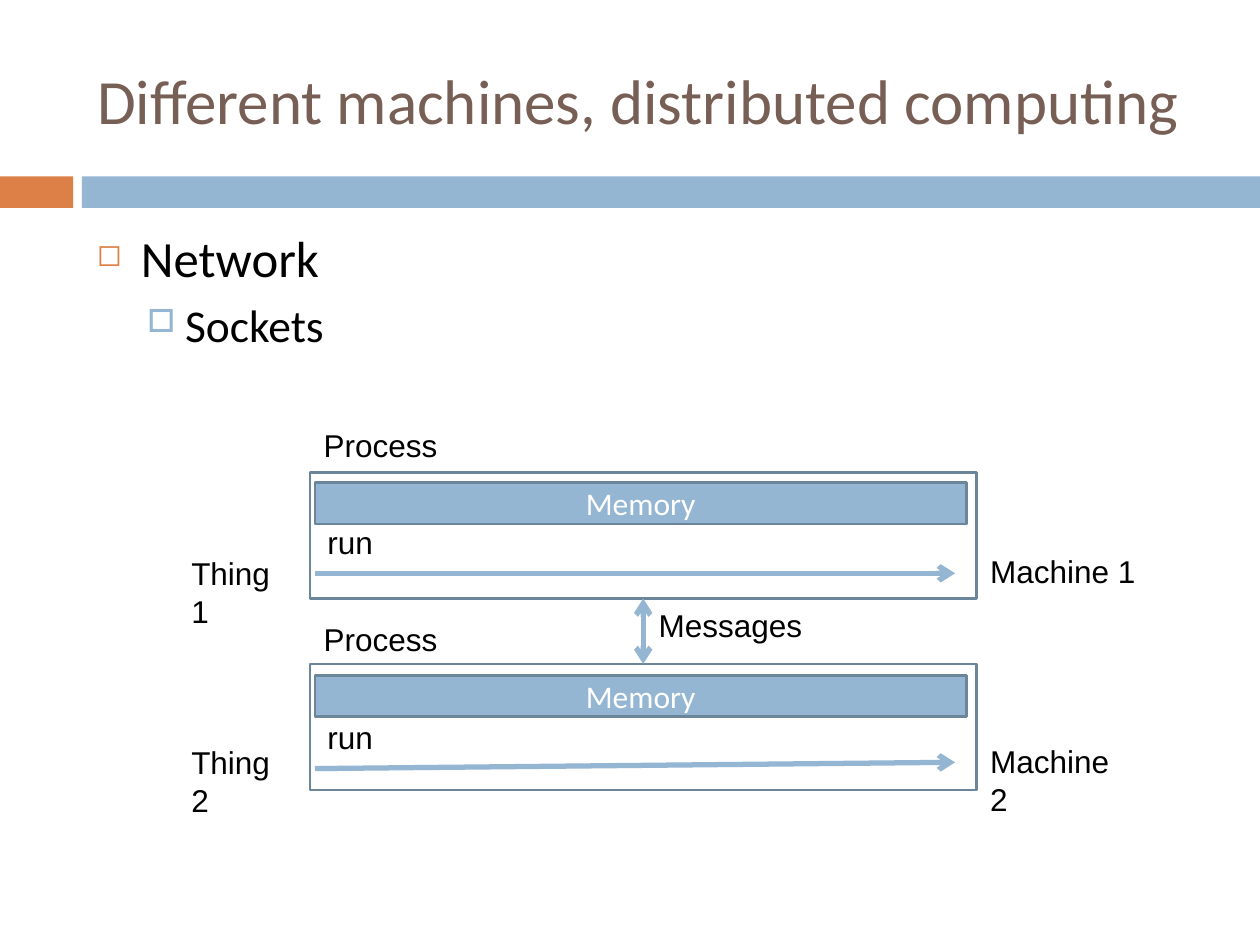
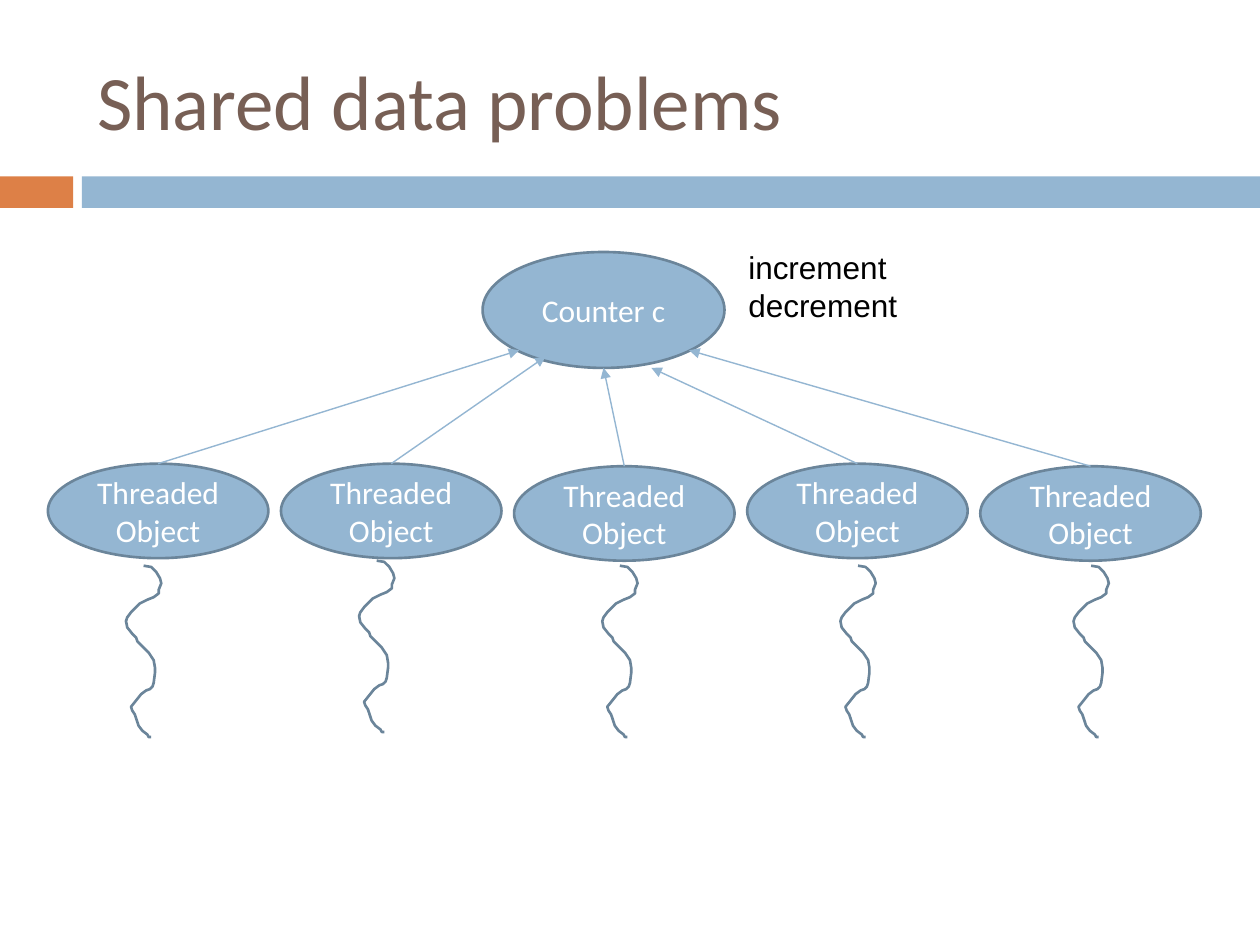
from lxml.etree import SubElement
from pptx import Presentation
from pptx.dml.color import RGBColor
from pptx.enum.shapes import MSO_CONNECTOR as Link, MSO_SHAPE as Form
from pptx.enum.text import MSO_ANCHOR as Anchor, MSO_AUTO_SIZE as Fit, PP_ALIGN as Align
from pptx.oxml.ns import qn
from pptx.util import Pt

SCALE = 9144
BLUE, EDGE, RUST = "94B6D2", "6B859A", "DD8047"
BROWN, BLACK, WHITE = "775F55", "000000", "FFFFFF"
WAVE = [(14, 0), (20, 1), (24, 5), (27, 10), (28, 14), (26, 19), (26, 22),
        (22, 25), (17, 27), (11, 30), (9, 32), (4, 37), (1, 41), (0, 44),
        (1, 49), (5, 54), (8, 57), (9, 60), (12, 63), (15, 66), (18, 69),
        (22, 75), (23, 81), (23, 85), (22, 93), (21, 96), (19, 98), (16, 99),
        (12, 102), (8, 107), (4, 112), (5, 115), (7, 118), (8, 121),
        (9, 124), (10, 127), (13, 131), (17, 134), (18, 136), (20, 136)]


def px(*sizes):
    return [size * SCALE for size in sizes]


def tint(code):
    return RGBColor.from_string(code)


class Deck:
    def __init__(self):
        self.show = Presentation()
        self.show.slide_width, self.show.slide_height = px(1000, 750)

    def page(self, title, size):
        self.slide = self.show.slides.add_slide(self.show.slide_layouts[5])
        self.shapes = self.slide.shapes
        self.shape(Form.RECTANGLE, (0, 140, 58, 25), RUST)
        self.shape(Form.RECTANGLE, (65, 140, 935, 25), BLUE)
        head = self.shapes.title
        head.left, head.top, head.width, head.height = px(67, 25, 892, 108)
        frame = head.text_frame
        frame.text = title
        frame.auto_size = Fit.NONE
        frame.vertical_anchor = Anchor.MIDDLE
        self.style(frame, size, "Calibri", BROWN)

    def style(self, frame, size, face, color, align=Align.LEFT):
        for para in frame.paragraphs:
            para.alignment = align
            font = para.font
            font.size, font.name = Pt(size), face
            font.color.rgb = tint(color)

    def shape(self, form, area, fill=None, edge=None, text=None):
        item = self.shapes.add_shape(form, *px(*area))
        item.shadow.inherit = False
        self.paint(item, fill, edge)
        if text:
            frame = item.text_frame
            frame.text = text
            frame.vertical_anchor = Anchor.MIDDLE
            self.style(frame, 18, "Calibri", WHITE, Align.CENTER)
        return item

    def paint(self, item, fill, edge):
        if fill:
            item.fill.solid()
            item.fill.fore_color.rgb = tint(fill)
        else:
            item.fill.background()
        if edge:
            item.line.color.rgb = tint(edge)
            item.line.width = Pt(1.5)
        else:
            item.line.fill.background()

    def label(self, text, *area):
        frame = self.shapes.add_textbox(*px(*area)).text_frame
        frame.text = text
        frame.word_wrap = False
        frame.auto_size = Fit.SHAPE_TO_FIT_TEXT
        self.style(frame, 18, "Arial", BLACK)

    def list(self, area, items):
        frame = self.shapes.add_textbox(*px(*area)).text_frame
        frame.word_wrap = True
        for level, (text, size, mark, color, part, left, hang, gap) in enumerate(items):
            para = frame.add_paragraph() if level else frame.paragraphs[0]
            para.text, para.level = text, level
            para.space_before = Pt(gap)
            props = para._p.get_or_add_pPr()
            props.set("marL", str(left * SCALE))
            props.set("indent", str(-hang * SCALE))
            SubElement(SubElement(props, qn("a:buClr")), qn("a:srgbClr"), val=color)
            SubElement(props, qn("a:buSzPct"), val=str(part * 1000))
            SubElement(props, qn("a:buChar"), char=mark)
            para.alignment = Align.LEFT
            para.font.size, para.font.name = Pt(size), "Calibri"
            para.font.color.rgb = tint(BLACK)

    def arrow(self, start, end, width, kind, both=False, first=None, last=None):
        item = self.shapes.add_connector(Link.STRAIGHT, *px(*start, *end))
        if first:
            item.begin_connect(*first)
        if last:
            item.end_connect(*last)
        item.line.color.rgb = tint(BLUE)
        item.line.width = Pt(width)
        props = item._element.spPr
        line = props.find(qn("a:ln"))
        for tag in ("a:headEnd", "a:tailEnd") if both else ("a:tailEnd",):
            SubElement(line, qn(tag), type=kind)
        SubElement(props, qn("a:effectLst"))

    def wave(self, left, top):
        points = [(left + x, top + y) for x, y in WAVE]
        build = self.shapes.build_freeform(*points[0], scale=SCALE)
        build.add_line_segments(points[1:], close=False)
        item = build.convert_to_shape()
        item.shadow.inherit = False
        self.paint(item, None, EDGE)


def network(deck):
    deck.page("Different machines, distributed computing", 36)
    deck.list((67, 175, 892, 133), [
        ("Network", 29, "◻", RUST, 60, 35, 35, 7),
        ("Sockets", 26, "□", BLUE, 70, 70, 30, 5.5)])
    rows = [
        ("Thing 1", 435, "Machine 1", 433, 135, 375, 333, 383, 410, 455, 455),
        ("Thing 2", 585, "Machine2", 584, 128, 527, 487, 536, 565, 610, 605)]
    boxes = []
    for thing, low, host, side, wide, top, head, store, run, start, end in rows:
        boxes.append(deck.shape(Form.RECTANGLE, (246, top, 529, 100), None, EDGE))
        deck.shape(Form.RECTANGLE, (250, store, 517, 33), BLUE, EDGE, "Memory")
        deck.label("Process", 247, head, 110, 40)
        deck.label("run", 250, run, 56, 40)
        deck.label(thing, 142, low, 103, 40)
        deck.label(host, 776, side, wide, 40)
        deck.arrow((250, start), (758, end), 3, "arrow")
    upper, lower = boxes
    deck.arrow((511, 475), (511, 527), 3, "arrow", True, (upper, 2), (lower, 0))
    deck.label("Messages", 513, 476, 134, 40)


def shared(deck):
    deck.page("Shared data problems", 44)
    deck.shape(Form.OVAL, (383, 200, 192, 92), BLUE, EDGE, "Counter c")
    deck.label("increment\ndecrement", 584, 192, 138, 70)
    threads = [
        (368, (412, 278), (100, 449)),
        (368, (433, 283), (285, 445)),
        (370, (479, 292), (478, 449)),
        (368, (517, 292), (667, 449)),
        (370, (547, 278), (852, 449))]
    for i, (top, tip, tail) in enumerate(threads):
        left = 38 + 185 * i
        node = deck.shape(Form.OVAL, (left, top, 175, 75), BLUE, EDGE, "Threaded\vObject")
        deck.arrow((left + 88, top), tip, 0.79, "triangle", first=(node, 0))
        deck.wave(*tail)


def main():
    deck = Deck()
    network(deck)
    shared(deck)
    deck.show.save("out.pptx")


if __name__ == "__main__":
    main()
